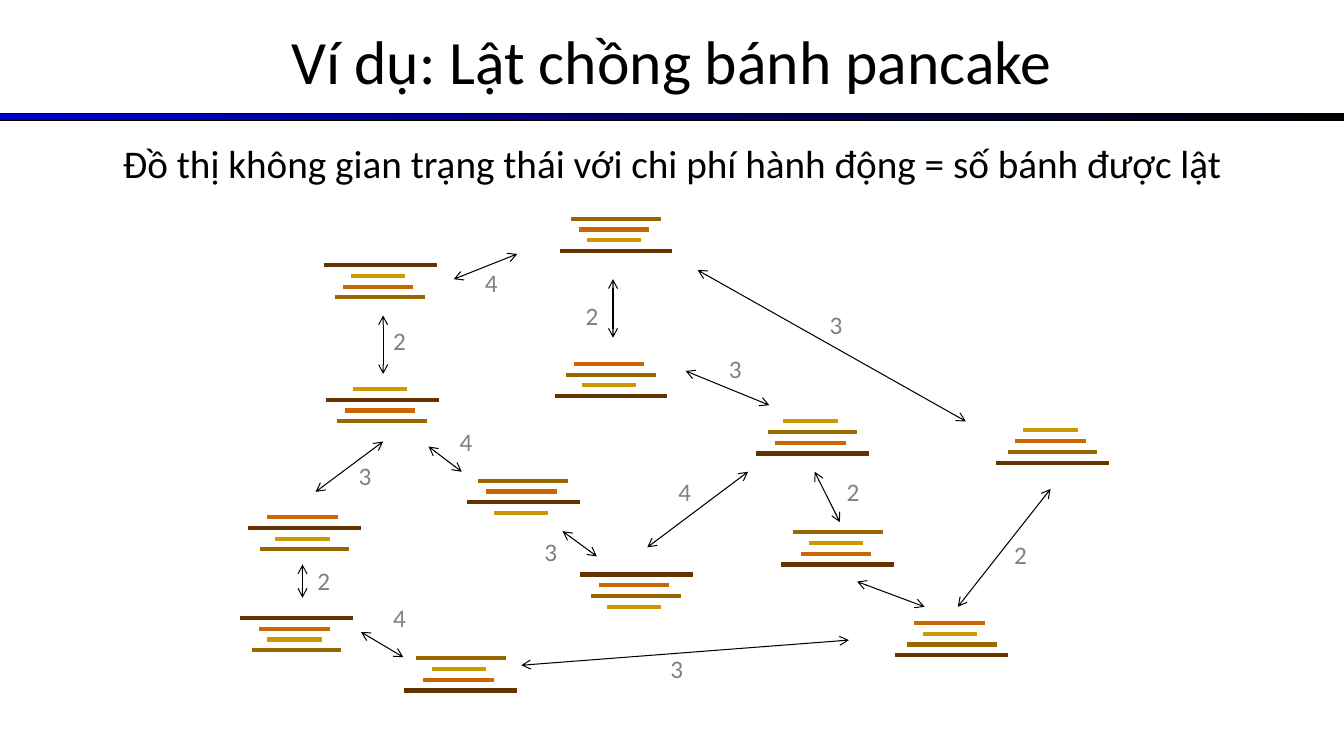
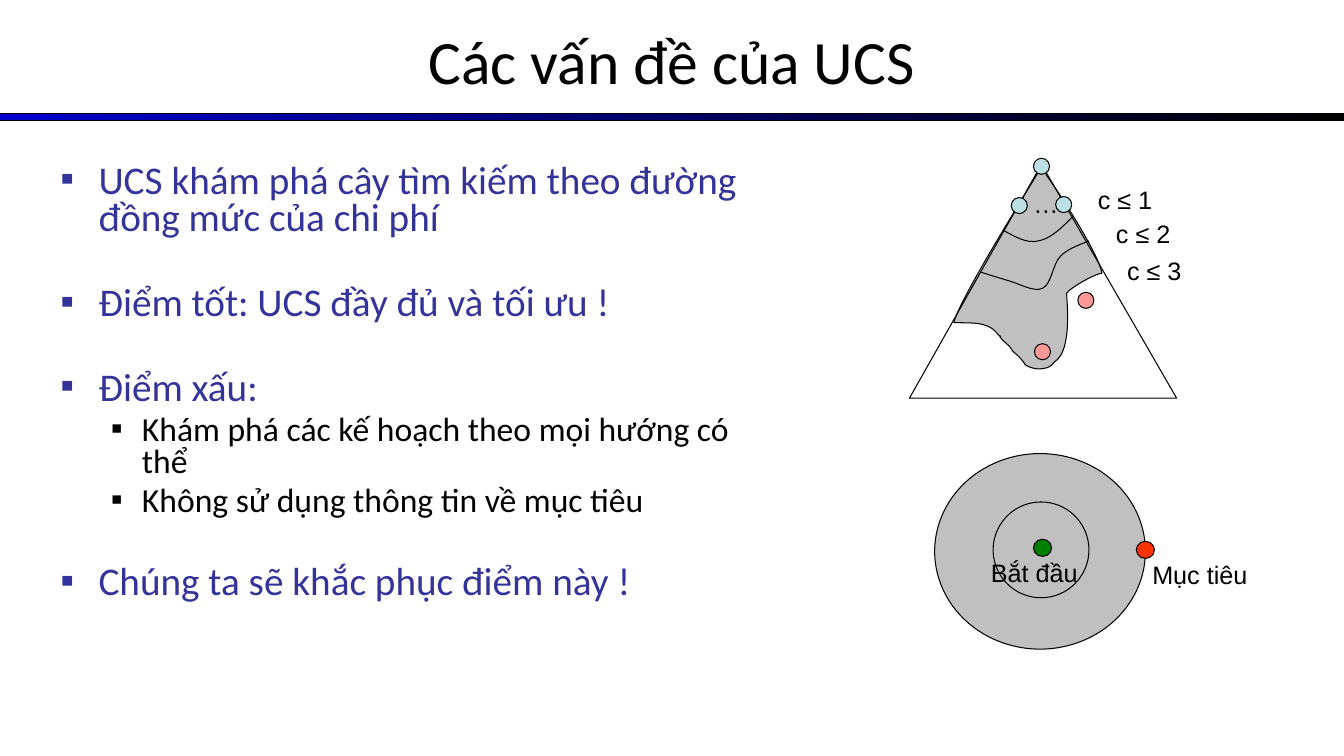
from lxml import etree
from pptx import Presentation
from pptx import util as u
from pptx.dml.color import RGBColor
from pptx.enum import shapes, text
from pptx.oxml import ns

COLORS = {
    "ink": "000000", "blue": "0000CC", "indigo": "333399", "label": "808080",
    "grey": "C0C0C0", "node": "BBE0E3", "goal_node": "FF9999",
    "start": "008000", "goal": "FF3300",
    "small": "CC9900", "medium": "CC6600", "large": "996600", "largest": "663300",
}
SLIDE_W, SLIDE_H = 13.33, 7.5


def add_xml(parent, tag, **attributes):
    return etree.SubElement(parent, ns.qn(tag), attributes)


class Deck:
    """The shared style and the slide being drawn."""

    title_font = "Calibri"
    label_font = "Arial"
    line_width = 0.75

    def __init__(self):
        self.prs = Presentation()
        self.prs.slide_width = u.Inches(SLIDE_W)
        self.prs.slide_height = u.Inches(SLIDE_H)
        self.slide = None

    def color(self, name):
        return RGBColor.from_string(COLORS[name])

    def new_slide(self, title):
        self.slide = self.prs.slides.add_slide(self.prs.slide_layouts[6])
        band = self.shape(shapes.MSO_SHAPE.RECTANGLE, 0, 1.13, SLIDE_W, 0.07)
        band.fill.gradient()
        band.fill.gradient_angle = 0
        for stop, name in zip(band.fill.gradient_stops, ("blue", "ink")):
            stop.color.rgb = self.color(name)
        self.text(title, 0, -0.03, SLIDE_W, 1.25, 44, centered=True,
                  anchor=text.MSO_ANCHOR.MIDDLE)

    def finish(self, shape, fill=None):
        shape.shadow.inherit = False
        if fill:
            shape.fill.solid()
            shape.fill.fore_color.rgb = self.color(fill)
        else:
            shape.fill.background()
        shape.line.color.rgb = self.color("ink")
        shape.line.width = u.Pt(self.line_width)
        return shape

    def shape(self, kind, left, top, width, height, fill=None):
        box = map(u.Inches, (left, top, width, height))
        return self.finish(self.slide.shapes.add_shape(kind, *box), fill)

    def oval(self, left, top, width, height, fill=None):
        return self.shape(shapes.MSO_SHAPE.OVAL, left, top, width, height, fill)

    def outline(self, points, fill=None, close=False):
        points = [(u.Inches(x), u.Inches(y)) for x, y in points]
        builder = self.slide.shapes.build_freeform(*points[0])
        builder.add_line_segments(points[1:], close=close)
        return self.finish(builder.convert_to_shape(), fill)

    def curve(self, start, segments, fill=None, close=False):
        """Each segment holds two control points and an end point."""
        points = [start] + [point for segment in segments for point in segment]
        shape = self.outline(points, fill, close)
        steps = list(shape._element.iter(ns.qn("a:lnTo")))
        for i in range(0, 3 * len(segments), 3):
            bezier = etree.Element(ns.qn("a:cubicBezTo"))
            steps[i].addprevious(bezier)
            for step in steps[i:i + 3]:
                bezier.append(step[0])
                step.getparent().remove(step)

    def line(self, start, end, color="ink", width=line_width, arrows=False):
        line = self.slide.shapes.add_connector(
            shapes.MSO_CONNECTOR.STRAIGHT, *map(u.Inches, (*start, *end)))
        line.line.color.rgb = self.color(color)
        line.line.width = u.Pt(width)
        if arrows:
            ln = line.line._get_or_add_ln()
            add_xml(ln, "a:headEnd", type="arrow")
            add_xml(ln, "a:tailEnd", type="arrow")
        add_xml(line._element.spPr, "a:effectLst")

    def frame(self, left, top, width, height):
        box = self.slide.shapes.add_textbox(
            *map(u.Inches, (left, top, width, height)))
        box.text_frame.word_wrap = True
        return box.text_frame

    def style(self, paragraph, size, color="ink", font=title_font):
        paragraph.font.size = u.Pt(size)
        paragraph.font.name = font
        paragraph.font.color.rgb = self.color(color)

    def text(self, words, left, top, width, height, size, color="ink",
             font=title_font, centered=False, anchor=text.MSO_ANCHOR.TOP):
        frame = self.frame(left, top, width, height)
        frame.vertical_anchor = anchor
        paragraph = frame.paragraphs[0]
        paragraph.text = words
        if centered:
            paragraph.alignment = text.PP_ALIGN.CENTER
        self.style(paragraph, size, color, font)

    def label(self, words, left, top, width):
        self.text(words, left, top, width, 0.4, 18, font=self.label_font)

    def bullets(self, items, left, top, width, height):
        """Items are (level, space before in points, words)."""
        looks = [(28, "indigo", 0.38, 0.38), (24, "ink", 0.81, 0.31)]
        frame = self.frame(left, top, width, height)
        for i, (level, space, words) in enumerate(items):
            size, color, margin, hanging = looks[level]
            paragraph = frame.add_paragraph() if i else frame.paragraphs[0]
            paragraph.text = words
            paragraph.level = level
            paragraph.line_spacing = 0.8
            if space:
                paragraph.space_before = u.Pt(space)
            props = paragraph._p.get_or_add_pPr()
            props.set("marL", str(u.Inches(margin)))
            props.set("indent", str(-u.Inches(hanging)))
            add_xml(add_xml(props, "a:buClr"), "a:srgbClr", val=COLORS[color])
            add_xml(props, "a:buFont", typeface=self.label_font)
            add_xml(props, "a:buChar", char="▪")
            self.style(paragraph, size, color)

    def pancakes(self, center, top, order):
        """Stack pancakes from top to bottom; 1 is the smallest."""
        # Colour, width and shift from the center
        kinds = {"1": ("small", 0.54, -0.02), "2": ("medium", 0.7, -0.02),
                 "3": ("large", 0.89, 0), "4": ("largest", 1.12, 0)}
        for i, pancake in enumerate(order):
            color, width, shift = kinds[pancake]
            left = center + shift - width / 2
            y = top + i * 0.32 / 3
            self.line((left, y), (left + width, y), color, 3)


def pancake_slide(deck):
    deck.new_slide("Ví dụ: Lật chồng bánh pancake")

    # States
    for state in [
        (3.77, 2.63, "4123"), (3.79, 3.86, "1423"), (6.11, 2.17, "3214"),
        (3.02, 5.13, "2413"), (5.19, 4.77, "3241"), (10.44, 4.27, "1234"),
        (6.06, 3.61, "2314"), (6.31, 5.7, "4231"), (2.94, 6.13, "4213"),
        (4.57, 6.53, "3124"), (8.06, 4.18, "1324"), (9.44, 6.18, "2134"),
        (8.31, 5.28, "3124"),
    ]:
        deck.pancakes(*state)

    # Actions: both ends, then the cost and its place
    for start, end, cost, place in [
        ((5.13, 2.52), (4.5, 2.77), "4", (4.71, 2.6)),
        ((3.8, 3.71), (3.8, 3.13), "2", (3.8, 3.18)),
        ((3.13, 4.88), (3.8, 4.38), "3", (3.46, 4.52)),
        ((4.58, 4.68), (4.25, 4.43), "4", (4.46, 4.18)),
        ((3, 5.93), (3, 5.6), "2", (3.05, 5.56)),
        ((4, 6.52), (3.58, 6.27), "4", (3.8, 5.93)),
        ((8.42, 6.35), (5.17, 6.6), "3", (6.55, 6.43)),
        ((5.92, 5.52), (5.58, 5.27), "3", (5.3, 5.27)),
        ((7.42, 4.68), (6.42, 5.43), "4", (6.63, 4.68)),
        ((6.8, 3.68), (7.63, 4.02), "3", (7.13, 3.46)),
        ((6.08, 2.77), (6.08, 3.35), "2", (5.71, 2.93)),
        ((9.58, 4.18), (6.92, 2.68), "3", (8.13, 3.02)),
        ((8.08, 4.68), (8.33, 5.18), "2", (8.3, 4.68)),
        ((8.5, 5.77), (9.17, 6.02), None, None),
        ((9.5, 6.02), (10.42, 4.85), "2", (9.96, 5.3)),
    ]:
        deck.line(start, end, arrows=True)
        if cost:
            deck.text(cost, *place, 0.33, 0.4, 18, "label")

    deck.text("Đồ thị không gian trạng thái với chi phí hành động = số bánh được lật",
              0, 1.33, SLIDE_W, 0.57, 28, centered=True)


def ucs_slide(deck):
    deck.new_slide("Các vấn đề của UCS")
    deck.bullets([
        (0, 0, "UCS khám phá cây tìm kiếm theo đường đồng mức của chi phí"),
        (0, 33.6, "Điểm tốt: UCS đầy đủ và tối ưu !"),
        (0, 33.6, "Điểm xấu:"),
        (1, 4.8, "Khám phá các kế hoạch theo mọi hướng có thể"),
        (1, 4.8, "Không sử dụng thông tin về mục tiêu"),
        (0, 33.2, "Chúng ta sẽ khắc phục điểm này !"),
    ], 0.5, 1.58, 7.08, 4.95)

    # Search spreading from start to goal
    deck.oval(9.27, 4.5, 2.09, 1.94, "grey")
    deck.oval(10.25, 5.35, 0.18, 0.17, "start")
    deck.label("Bắt đầu", 9.73, 5.48, 1.24)
    deck.oval(11.27, 5.37, 0.18, 0.17, "goal")
    deck.label("Mục tiêu", 11.33, 5.5, 1.25)
    deck.oval(9.85, 4.98, 0.95, 0.95)

    # Search tree with its explored region
    deck.curve((10.38, 1.74), [
        ((10.49, 1.89), (10.9, 2.52), (10.93, 2.71)),
        ((10.85, 2.72), (10.61, 2.86), (10.58, 2.91)),
        ((10.58, 2.98), (10.64, 3.48), (10.46, 3.59)),
        ((10.42, 3.65), (10.37, 3.66), (10.29, 3.66)),
        ((10.23, 3.65), (10.22, 3.65), (10.17, 3.62)),
        ((10.15, 3.58), (10.09, 3.52), (10.05, 3.49)),
        ((10, 3.42), (10.03, 3.45), (9.96, 3.39)),
        ((9.86, 3.29), (9.97, 3.37), (9.9, 3.32)),
        ((9.8, 3.18), (9.63, 3.21), (9.46, 3.2)),
        ((9.53, 2.95), (10.13, 1.99), (10.28, 1.74)),
        ((10.43, 1.5), (10.36, 1.74), (10.38, 1.74)),
    ], "grey", close=True)
    deck.outline([(9.02, 3.95), (11.67, 3.95), (10.33, 1.63)], close=True)
    for left, top, kind in [
        (10.03, 1.96, "node"), (10.47, 1.95, "node"), (10.69, 2.9, "goal_node"),
        (10.26, 3.41, "goal_node"), (10.25, 1.57, "node"),
    ]:
        deck.oval(left, top, 0.16, 0.16, kind)
    deck.label("…", 10.15, 1.82, 0.45)

    # Cost contours
    deck.curve((10.8, 2.39), [
        ((10.7, 2.43), (10.59, 2.47), (10.52, 2.54)),
        ((10.44, 2.62), (10.43, 2.82), (10.34, 2.86)),
        ((10.26, 2.9), (10.12, 2.82), (10.02, 2.79)),
        ((9.92, 2.76), (9.82, 2.73), (9.73, 2.7)),
    ])
    deck.curve((10.64, 2.15), [
        ((10.53, 2.26), (10.42, 2.37), (10.3, 2.39)),
        ((10.19, 2.42), (10.07, 2.35), (9.96, 2.29)),
    ])
    for cost, (left, top) in enumerate(
            [(10.79, 1.78), (10.97, 2.12), (11.08, 2.48)], start=1):
        deck.label(f"c ≤ {cost}", left, top, 0.75)


def main():
    deck = Deck()
    pancake_slide(deck)
    ucs_slide(deck)
    deck.prs.save("out.pptx")


if __name__ == "__main__":
    main()
